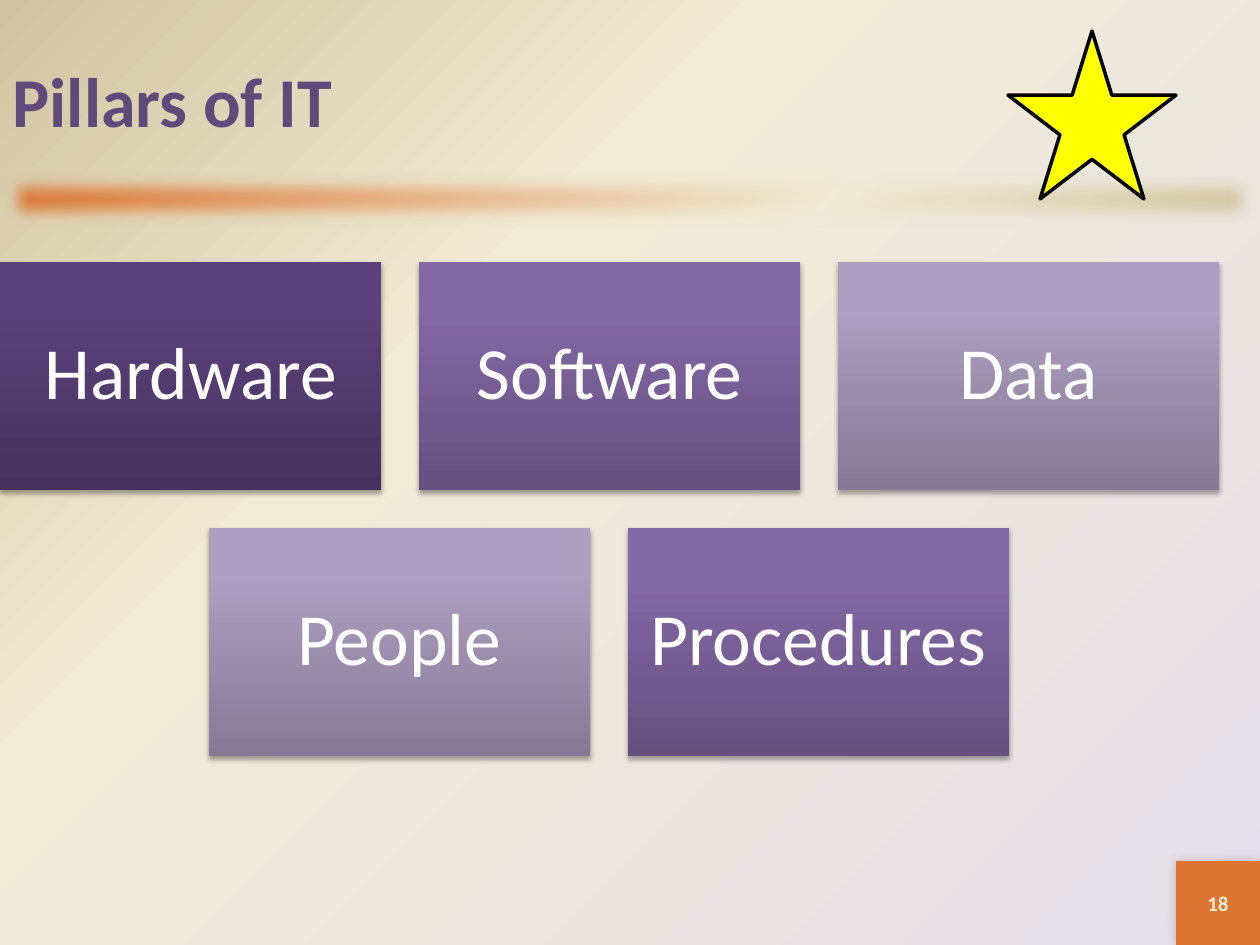
import pptx
import pptx.dml.color
import pptx.enum.shapes
import pptx.enum.text
import pptx.oxml
import pptx.oxml.ns
import pptx.util

PX = 914400 / 126
qn = pptx.oxml.ns.qn
RGB = pptx.dml.color.RGBColor.from_string
SHAPE = pptx.enum.shapes.MSO_SHAPE
CENTER = pptx.enum.text.PP_ALIGN.CENTER
MIDDLE = pptx.enum.text.MSO_ANCHOR.MIDDLE

theme = {
    "background": [(0, "D1C39F"), (35, "F0EBD5"), (100, "E6E0EC")],
    "rule": [(0, "DB7531"), (65, "F0EBD5"), (100, "D1C39F")],
    "dark": [(0, "46325F"), (80, "5B417B"), (100, "5B407C")],
    "medium": [(0, "655080"), (80, "8368A6"), (100, "8368A8")],
    "light": [(0, "857A95"), (80, "AD9FC1"), (100, "AE9FC3")],
    "accent": "DB7531",
    "star": "FFFF00",
    "star_line": "000000",
    "title": {"name": "Calibri", "size": pptx.util.Pt(40), "bold": True, "color": "604A7B"},
    "pillar": {"name": "Calibri", "size": pptx.util.Pt(42), "bold": False, "color": "FFFFFF"},
    "number": {"name": "Calibri", "size": pptx.util.Pt(12), "bold": True, "color": "EEEBCA"},
}


def write(shape, text, style, **paragraph_format):
    frame = shape.text_frame
    frame.text = text
    frame.word_wrap = True
    frame.vertical_anchor = MIDDLE
    paragraph = frame.paragraphs[0]
    for name, value in paragraph_format.items():
        setattr(paragraph, name, value)
    font = paragraph.runs[0].font
    for name, value in theme[style].items():
        if name == "color":
            font.color.rgb = RGB(value)
        else:
            setattr(font, name, value)


def paint_gradient(fill, owner, stops, degrees):
    fill.gradient()
    gradient = owner.find(".//" + qn("a:gradFill"))
    stop_list = gradient.find(qn("a:gsLst"))
    for stop in list(stop_list):
        stop_list.remove(stop)
    for position, color in stops:
        stop_list.append(pptx.oxml.parse_xml(
            f'<a:gs {pptx.oxml.ns.nsdecls("a")} pos="{position * 1000}">'
            f'<a:srgbClr val="{color}"/></a:gs>'))
    gradient.find(qn("a:lin")).set("ang", str(degrees * 60000))


presentation = pptx.Presentation()
presentation.slide_width = pptx.util.Inches(10)
presentation.slide_height = pptx.util.Inches(7.5)
slide = presentation.slides.add_slide(presentation.slide_layouts[5])
paint_gradient(slide.background.fill, slide.element, theme["background"], 45)

box_width, box_height, gap, first_top = 381, 228, 38, 262
rows = [
    [("Hardware", "dark"), ("Software", "medium"), ("Data", "light")],
    [("People", "light"), ("Procedures", "medium")],
]
row_widths = [len(row) * (box_width + gap) - gap for row in rows]

boxes = [
    ("rule", "", "rule", 45, (0, 168, 1260, 63)),
    ("number", "18", None, 0, (1176, 861, 84, 84)),
]
for row_index, row in enumerate(rows):
    left = (max(row_widths) - row_widths[row_index]) // 2
    top = first_top + row_index * (box_height + gap)
    for column, (label, shade) in enumerate(row):
        place = (left + column * (box_width + gap), top, box_width, box_height)
        boxes.append(("pillar", label, shade, 270, place))

shadow = ('<a:outerShdw blurRad="{}" dist="{}" dir="{}" rotWithShape="0">'
          '<a:srgbClr val="000000"><a:alpha val="{}"/></a:srgbClr></a:outerShdw>')
effects = {
    "rule": '<a:softEdge rad="127000"/>',
    "number": shadow.format(76200, 0, 13500000, 20000),
    "pillar": shadow.format(39370, 22860, 5400000, 35000),
}

for kind, label, shade, degrees, place in boxes:
    shape = slide.shapes.add_shape(SHAPE.RECTANGLE, *(round(value * PX) for value in place))
    shape.line.fill.background()
    if shade:
        paint_gradient(shape.fill, shape.element, theme[shade], degrees)
    else:
        shape.fill.solid()
        shape.fill.fore_color.rgb = RGB(theme["accent"])
    shape.shadow.inherit = False
    effect_list = shape.element.spPr.find(qn("a:effectLst"))
    effect_list.append(pptx.oxml.parse_xml(
        effects[kind].replace(" ", f' {pptx.oxml.ns.nsdecls("a")} ', 1)))
    if kind == "pillar":
        for side in ("left", "right", "top", "bottom"):
            setattr(shape.text_frame, f"margin_{side}", round(21 * PX))
        write(shape, label, kind, alignment=CENTER, line_spacing=0.9)
    elif label:
        write(shape, label, kind, alignment=CENTER)

title = slide.shapes.title
title.element.getparent().append(title.element)
for name, value in {"left": 0, "top": 21, "width": 1218, "height": 158}.items():
    setattr(title, name, round(value * PX))
write(title, "Pillars of IT", "title", alignment=pptx.enum.text.PP_ALIGN.LEFT)

star = slide.shapes.add_shape(
    SHAPE.STAR_5_POINT, *(round(value * PX) for value in (1008, 31, 168, 168)))
star.shadow.inherit = False
star.fill.solid()
star.fill.fore_color.rgb = RGB(theme["star"])
star.line.color.rgb = RGB(theme["star_line"])
star.line.width = pptx.util.Pt(2)

presentation.save("out.pptx")
